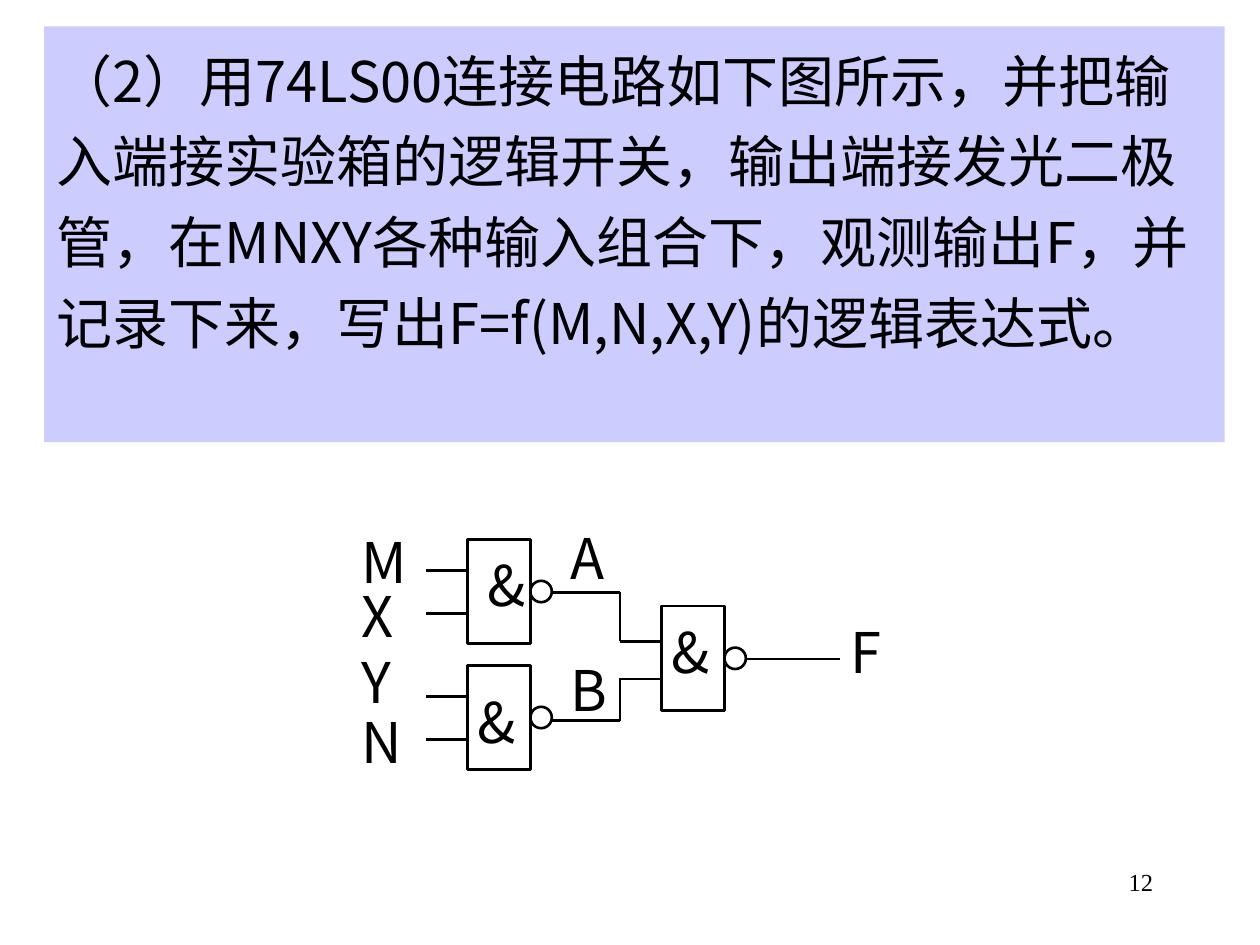
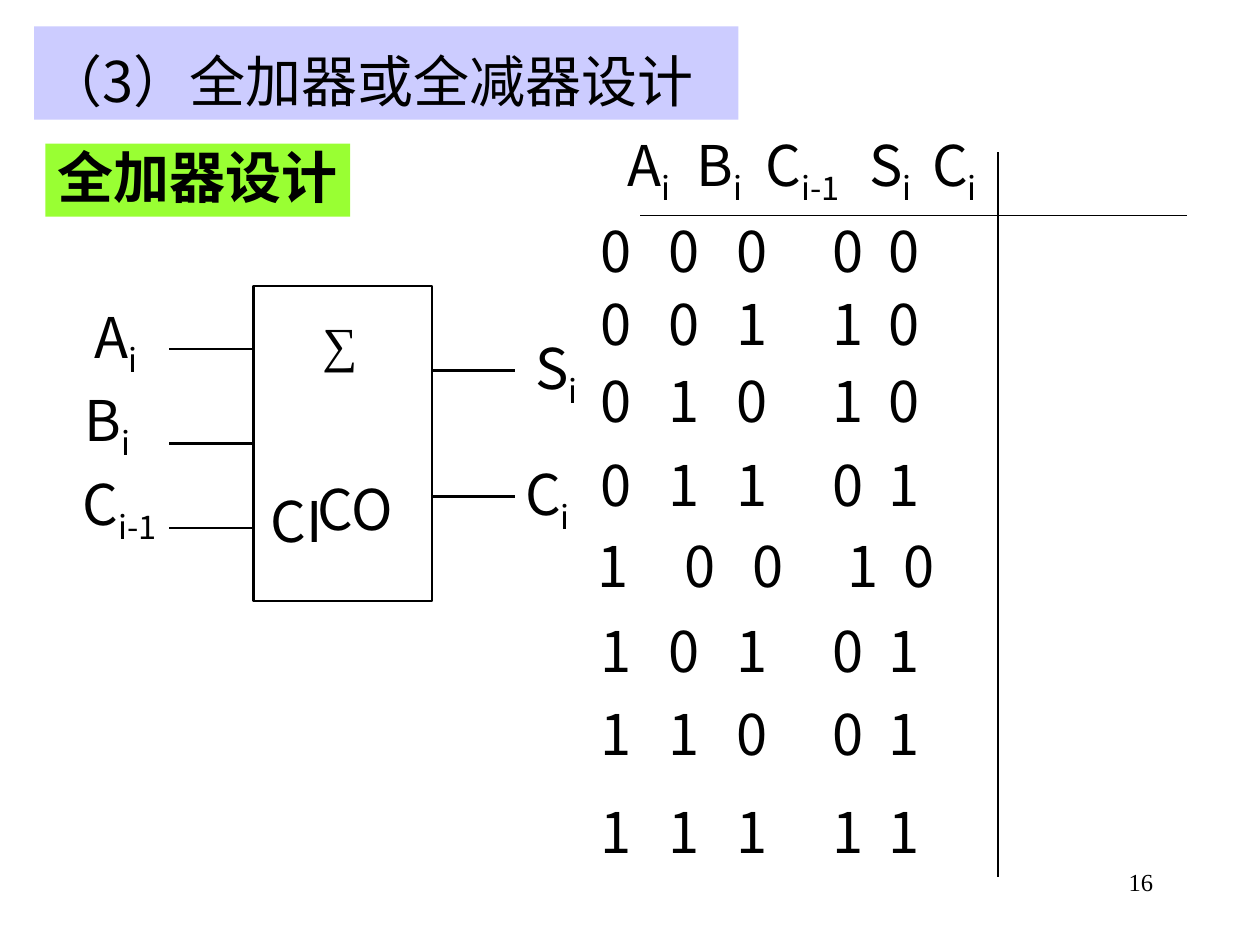
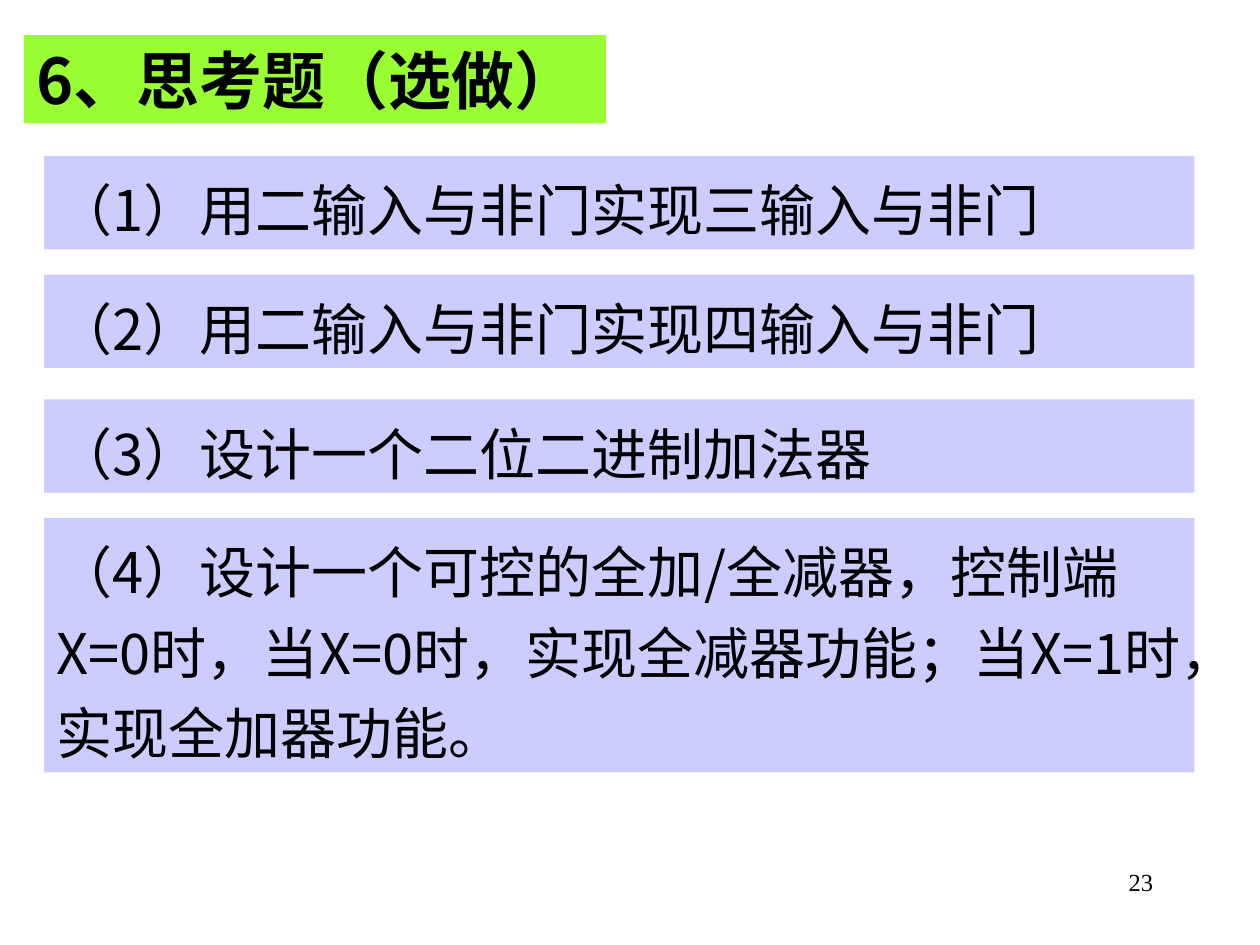
from lxml.etree import SubElement
from pptx import Presentation
from pptx.dml.color import RGBColor
from pptx.enum.shapes import MSO_CONNECTOR, MSO_SHAPE
from pptx.enum.text import MSO_ANCHOR, MSO_AUTO_SIZE, PP_ALIGN
from pptx.oxml.ns import qn
from pptx.util import Inches, Pt

BLACK = RGBColor(0x00, 0x00, 0x00)
LAVENDER = RGBColor(0xCC, 0xCC, 0xFF)
GREEN = RGBColor(0x99, 0xFF, 0x33)
SANS = "Noto Sans CJK SC"
SERIF = "Times New Roman"

GATE_WIDTH, GATE_HEIGHT, BUBBLE = 0.5, 0.83, 0.17


class Lesson:
    """Holds the deck, its style and the current page."""

    def __init__(self):
        self.deck = Presentation()
        self.deck.slide_width = Inches(10)
        self.deck.slide_height = Inches(7.5)
        self.page = None

    def new_page(self, number):
        self.page = self.deck.slides.add_slide(self.deck.slide_layouts[6])
        box = self.text_box(7.17, 6.83, 2.08, 0.5)
        para = self.fill_text(box, str(number), size=14, font=SERIF)
        para.alignment = PP_ALIGN.RIGHT

    # Text
    def text_box(self, left, top, width, height):
        box = self.page.shapes.add_textbox(
            Inches(left), Inches(top), Inches(width), Inches(height))
        box.text_frame.word_wrap = True
        return box

    def fill_text(self, box, text, size=32, font=SANS, bold=None):
        """Tabs part the columns; an underscore starts a subscript."""
        para = box.text_frame.paragraphs[0]
        for index, column in enumerate(text.split("\t")):
            base, _, subscript = column.partition("_")
            para.add_run().text = "\t" + base if index else base
            if subscript:
                span = para.add_run()
                span.text = subscript
                span.font._element.set("baseline", "-25000")
        for span in para.runs:
            span.font.size = Pt(size)
            span.font.bold = bold
            span.font.color.rgb = BLACK
            span.font.name = font
            SubElement(span.font._element, qn("a:ea"), typeface=font)
        return para

    def label(self, text, left, top, width=0.47, height=0.64, **style):
        box = self.text_box(left, top, width, height)
        box.text_frame.word_wrap = False
        box.text_frame.auto_size = MSO_AUTO_SIZE.SHAPE_TO_FIT_TEXT
        self.fill_text(box, text, **style)

    def columns(self, text, left, top, stops, width=5.02, height=0.64):
        box = self.text_box(left, top, width, height)
        para = self.fill_text(box, text)
        tabs = SubElement(para._p.get_or_add_pPr(), qn("a:tabLst"))
        for stop in stops:
            SubElement(tabs, qn("a:tab"), pos=str(Inches(stop)), algn="l")

    # Shapes
    def shape(self, kind, left, top, width, height, fill=None):
        shape = self.page.shapes.add_shape(
            kind, Inches(left), Inches(top), Inches(width), Inches(height))
        shape.shadow.inherit = False
        if fill is None:
            shape.fill.background()
            shape.line.color.rgb = BLACK
            shape.line.width = Pt(1.5)
        else:
            shape.fill.solid()
            shape.fill.fore_color.rgb = fill
            shape.line.fill.background()
        return shape

    def panel(self, text, left, top, width, height, fill=LAVENDER,
              spacing=1.2, wrap=True, **style):
        panel = self.shape(MSO_SHAPE.RECTANGLE, left, top, width, height, fill)
        panel.text_frame.word_wrap = wrap
        panel.text_frame.vertical_anchor = MSO_ANCHOR.TOP
        para = self.fill_text(panel, text, **style)
        para.alignment = PP_ALIGN.LEFT
        para.line_spacing = spacing

    def heading(self, text, left, top, width, height, **style):
        self.panel(text, left, top, width, height, GREEN, wrap=False,
                   bold=True, **style)

    def wire(self, x1, y1, x2, y2, weight=1.5):
        wire = self.page.shapes.add_connector(
            MSO_CONNECTOR.STRAIGHT, Inches(x1), Inches(y1), Inches(x2), Inches(y2))
        wire.line.color.rgb = BLACK
        wire.line.width = Pt(weight)
        SubElement(wire._element.spPr, qn("a:effectLst"))
        return wire

    def nand_gate(self, left, top, sign_left, sign_top, inputs):
        self.shape(MSO_SHAPE.RECTANGLE, left, top, GATE_WIDTH, GATE_HEIGHT)
        self.shape(MSO_SHAPE.OVAL, left + GATE_WIDTH,
                   top + (GATE_HEIGHT - BUBBLE) / 2, BUBBLE, BUBBLE)
        for offset in inputs:
            self.wire(left, top + offset, left - 0.33, top + offset)
        self.label("&", sign_left, sign_top)


def nand_circuit(lesson):
    lesson.new_page(12)
    lesson.panel("（2）用74LS00连接电路如下图所示，并把输入端接实验箱的逻辑开关，"
                 "输出端接发光二极管，在MNXY各种输入组合下，观测输出F，并记录下来，"
                 "写出F=f(M,N,X,Y)的逻辑表达式。", 0.35, 0.21, 9.37, 3.3)

    # Gates
    lesson.nand_gate(3.71, 4.28, 3.77, 4.32, (0.25, 0.59))
    lesson.nand_gate(3.71, 5.28, 3.69, 5.41, (0.25, 0.59))
    lesson.nand_gate(5.25, 4.81, 5.23, 4.85, (0.28, 0.58))

    # Wires between the gates and to the output
    for output_y, input_y in ((4.7, 5.09), (5.72, 5.38)):
        lesson.wire(4.92, output_y, 4.37, output_y)
        lesson.wire(4.92, output_y, 4.92, input_y)
    lesson.wire(5.92, 5.23, 6.67, 5.23)

    # Signal names
    for name, left, top in (("M", 2.77, 4.14), ("X", 2.77, 4.57),
                            ("Y", 2.77, 5.09), ("N", 2.77, 5.57),
                            ("F", 6.65, 4.85), ("A", 4.43, 4.11),
                            ("B", 4.43, 5.15)):
        lesson.label(name, left, top)


def full_adder(lesson):
    lesson.new_page(16)
    lesson.panel("（3）全加器或全减器设计", 0.27, 0.21, 5.59, 0.74)
    lesson.heading("全加器设计", 0.36, 1.14, 2.42, 0.58, spacing=0.9)

    # Adder block
    adder = lesson.shape(MSO_SHAPE.RECTANGLE, 2.01, 2.27, 1.42, 2.5)
    lesson.wire(2.01, 2.77, 1.34, 2.77)
    lesson.wire(2.01, 3.52, 1.34, 3.52).begin_connect(adder, 1)
    lesson.wire(2.01, 4.19, 1.34, 4.19)
    for output_y in (2.94, 3.94):
        lesson.wire(3.42, output_y, 4.09, output_y)
    for name, left, top, width in (("A_i", 0.65, 2.35, 0.62),
                                   ("B_i", 0.57, 3.01, 0.62),
                                   ("C_i-1", 0.56, 3.68, 0.93),
                                   ("S_i", 4.15, 2.6, 0.62),
                                   ("C_i", 4.07, 3.6, 0.62)):
        lesson.label(name, left, top, width, 0.71)
    lesson.label("∑", 2.46, 2.44, height=0.57, size=28, font=SERIF)
    lesson.label("CI", 2.05, 3.81, 0.73)
    lesson.label("CO", 2.42, 3.72, 0.8)

    # Truth table
    lesson.columns("A_i\tB_i\tC_i-1\tS_i\tC_i", 4.88, 0.99,
                   (0.55, 1.1, 1.92, 2.42), 4.78, 0.71)
    lesson.wire(7.92, 1.21, 7.92, 6.96)
    lesson.wire(5.08, 1.71, 9.42, 1.71, weight=0.75)
    stops = (0.54, 1.08, 1.84, 2.28)
    indented_stops = [stop + 0.15 for stop in stops]
    row_tops = (1.67, 2.25, 2.86, 3.53, 4.17, 4.84, 5.5, 6.28)
    for row, top in enumerate(row_tops):
        inputs = [row >> 2 & 1, row >> 1 & 1, row & 1]
        carry, total = divmod(sum(inputs), 2)
        text = "\t".join(str(bit) for bit in (*inputs, total, carry))
        if row == 4:
            lesson.columns(text, 4.64, top, indented_stops, 4.98)
        else:
            lesson.columns(text, 4.67, top, stops)


def questions(lesson):
    lesson.new_page(23)
    lesson.heading("6、思考题（选做）", 0.19, 0.28, 4.62, 0.7, spacing=1.0, size=36)
    for text, top, height in (
            ("（1）用二输入与非门实现三输入与非门", 1.24, 0.74),
            ("（2）用二输入与非门实现四输入与非门", 2.18, 0.74),
            ("（3）设计一个二位二进制加法器", 3.17, 0.74),
            ("（4）设计一个可控的全加/全减器，控制端X=0时，当X=0时，"
             "实现全减器功能；当X=1时，实现全加器功能。", 4.11, 2.02)):
        lesson.panel(text, 0.35, top, 9.13, height)


def main():
    lesson = Lesson()
    nand_circuit(lesson)
    full_adder(lesson)
    questions(lesson)
    lesson.deck.save("out.pptx")


if __name__ == "__main__":
    main()
